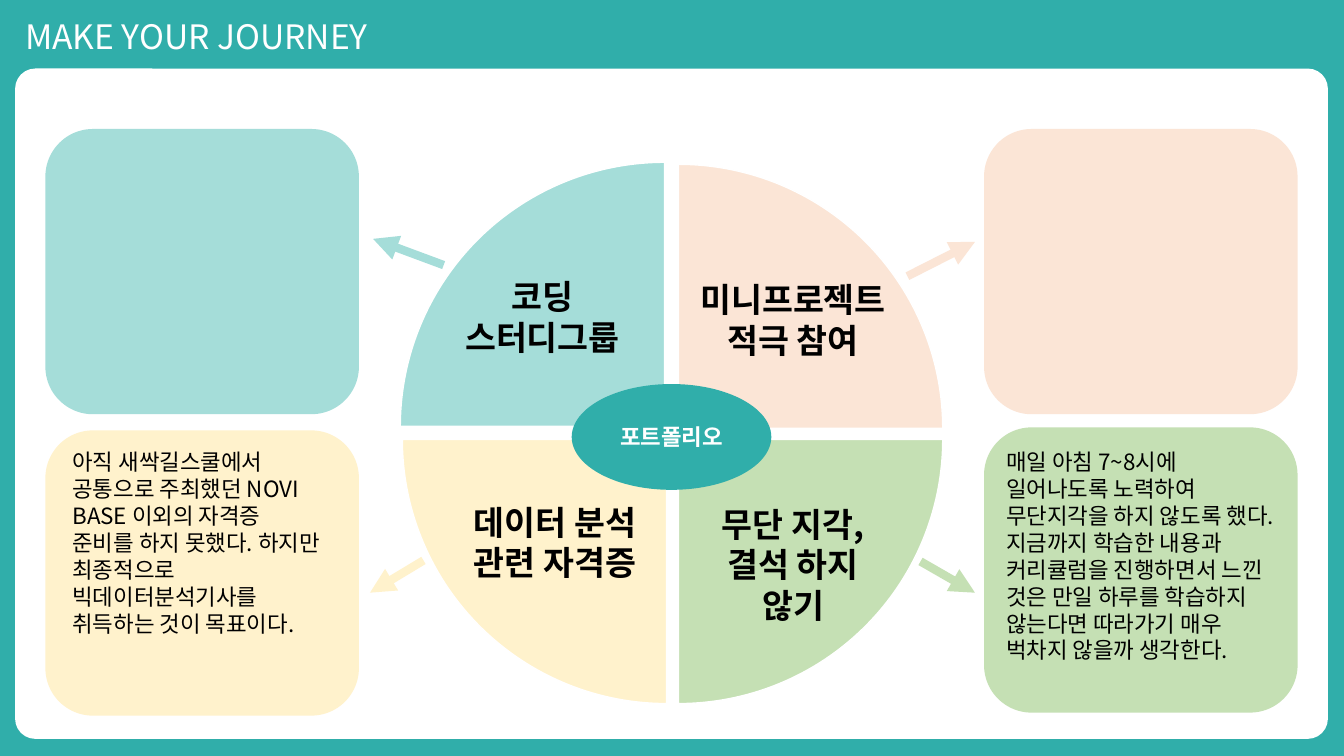
import dataclasses
import pptx
import pptx.dml.color
import pptx.enum.shapes
import pptx.enum.text
import pptx.oxml
import pptx.oxml.ns
import pptx.util

SHAPES = pptx.enum.shapes.MSO_SHAPE
ALIGN = pptx.enum.text.PP_ALIGN
ANCHOR = pptx.enum.text.MSO_ANCHOR
SCALE = 9144  # EMU in one px, 100 px to the inch


@dataclasses.dataclass(frozen=True)
class Theme:
    font: str = "Noto Sans CJK KR"
    teal: str = "30AEAA"
    white: str = "FFFFFF"
    black: str = "000000"
    mint: str = "A5DDD9"
    peach: str = "FBE5D6"
    cream: str = "FFF2CC"
    green: str = "C5E0B4"
    heading_size: int = 24
    body_size: int = 16
    leading: float = 1.2
    outline: int = 1
    arrow: int = 6


THEME = Theme()

# Each quadrant: colour, wedge box, turn, arrow ends, card box, label box, label, note box, note
QUADRANTS = [
    (THEME.mint, (397, 161, 262, 262), 0, (440, 263, 370, 237), (45, 128, 311, 283),
     (393, 269, 290, 91), ["코딩", "스터디그룹"], None, None),
    (THEME.peach, (673, 163, 262, 262), 90, (900, 274, 967, 240), (976, 128, 311, 283),
     (667, 272, 239, 91), ["미니프로젝트", "적극 참여"], None, None),
    (THEME.green, (673, 436, 262, 262), 180, (913, 557, 967, 588), (976, 424, 311, 283),
     (667, 495, 239, 131), ["무단 지각,", "결석 하지", "않기"], (988, 440, 295, 226),
     "매일 아침 7~8시에 일어나도록 노력하여 무단지각을 하지 않도록 했다. "
     "지금까지 학습한 내용과 커리큘럼을 진행하면서 느낀 것은 만일 하루를 "
     "학습하지 않는다면 따라가기 매우 벅차지 않을까 생각한다."),
    (THEME.cream, (399, 436, 262, 262), 270, (420, 556, 367, 588), (45, 427, 311, 283),
     (431, 493, 239, 91), ["데이터 분석", "관련 자격증"], (62, 440, 270, 199),
     "아직 새싹길스쿨에서 공통으로 주최했던 NOVI BASE 이외의 자격증 준비를 "
     "하지 못했다. 하지만 최종적으로 빅데이터분석기사를 취득하는 것이 목표이다."),
]


def emu(*lengths):
    return [length * SCALE for length in lengths]


def rgb(colour):
    return pptx.dml.color.RGBColor.from_string(colour)


def write(shape, lines, size, colour, bold=False, align=ALIGN.LEFT, anchor=ANCHOR.TOP):
    frame = shape.text_frame
    frame.word_wrap = True
    frame.auto_size = pptx.enum.text.MSO_AUTO_SIZE.NONE
    frame.vertical_anchor = anchor
    frame.margin_left = frame.margin_right = 10 * SCALE
    frame.margin_top = frame.margin_bottom = 5 * SCALE
    for index, line in enumerate(lines):
        paragraph = frame.add_paragraph() if index else frame.paragraphs[0]
        paragraph.alignment = align
        paragraph.line_spacing = pptx.util.Pt(size * THEME.leading)
        run = paragraph.add_run()
        run.text = line
        font = run.font
        font.name, font.size, font.bold = THEME.font, pptx.util.Pt(size), bold
        font.color.rgb = rgb(colour)
        # East Asian letters take their font from a separate element
        east_asian = pptx.oxml.parse_xml(
            f'<a:ea {pptx.oxml.ns.nsdecls("a")} typeface="{THEME.font}"/>')
        font._element.find(pptx.oxml.ns.qn("a:latin")).addnext(east_asian)


def add_figure(slide, kind, box, fill, outline=None):
    shape = slide.shapes.add_shape(kind, *emu(*box))
    shape.shadow.inherit = False
    shape.fill.solid()
    shape.fill.fore_color.rgb = rgb(fill)
    if outline:
        shape.line.color.rgb = rgb(outline)
        shape.line.width = pptx.util.Pt(THEME.outline)
    else:
        shape.line.fill.background()
    return shape


def add_arrow(slide, ends, colour):
    connector = slide.shapes.add_connector(
        pptx.enum.shapes.MSO_CONNECTOR.STRAIGHT, *emu(*ends))
    connector.line.color.rgb = rgb(colour)
    connector.line.width = pptx.util.Pt(THEME.arrow)
    namespace = pptx.oxml.ns.nsdecls("a")
    connector.line._get_or_add_ln().append(
        pptx.oxml.parse_xml(f'<a:tailEnd {namespace} type="triangle"/>'))
    connector._element.spPr.append(pptx.oxml.parse_xml(f"<a:effectLst {namespace}/>"))


def add_title(slide, box):
    title = slide.shapes.title
    title.left, title.top, title.width, title.height = emu(*box)
    write(title, ["MAKE YOUR JOURNEY"], THEME.heading_size, THEME.white)


def add_panel(slide, box):
    panel = add_figure(slide, SHAPES.ROUNDED_RECTANGLE, box, THEME.white)
    panel.adjustments[0] = 0.03


def add_quadrant(slide, colour, wedge_box, turn, arrow, card, label_box, label, note_box, note):
    wedge = add_figure(slide, SHAPES.PIE_WEDGE, wedge_box, colour, THEME.white)
    wedge.rotation = turn
    add_arrow(slide, arrow, colour)
    add_figure(slide, SHAPES.ROUNDED_RECTANGLE, card, colour)
    write(slide.shapes.add_textbox(*emu(*label_box)), label,
          THEME.heading_size, THEME.black, bold=True, align=ALIGN.CENTER)
    if note:
        write(slide.shapes.add_textbox(*emu(*note_box)), [note],
              THEME.body_size, THEME.black)


def add_hub(slide, box):
    hub = add_figure(slide, SHAPES.OVAL, box, THEME.teal)
    write(hub, ["포트폴리오"], THEME.body_size, THEME.white, bold=True,
          align=ALIGN.CENTER, anchor=ANCHOR.MIDDLE)


def main():
    presentation = pptx.Presentation()
    presentation.slide_width, presentation.slide_height = emu(1333, 750)
    slide = presentation.slides.add_slide(presentation.slide_layouts[5])
    slide.background.fill.solid()
    slide.background.fill.fore_color.rgb = rgb(THEME.teal)

    # Frame
    add_title(slide, (15, 11, 488, 50))
    add_panel(slide, (15, 68, 1302, 665))

    # Wheel with its cards, then the hub on top
    for quadrant in QUADRANTS:
        add_quadrant(slide, *quadrant)
    add_hub(slide, (567, 381, 198, 105))

    presentation.save("out.pptx")


if __name__ == "__main__":
    main()
